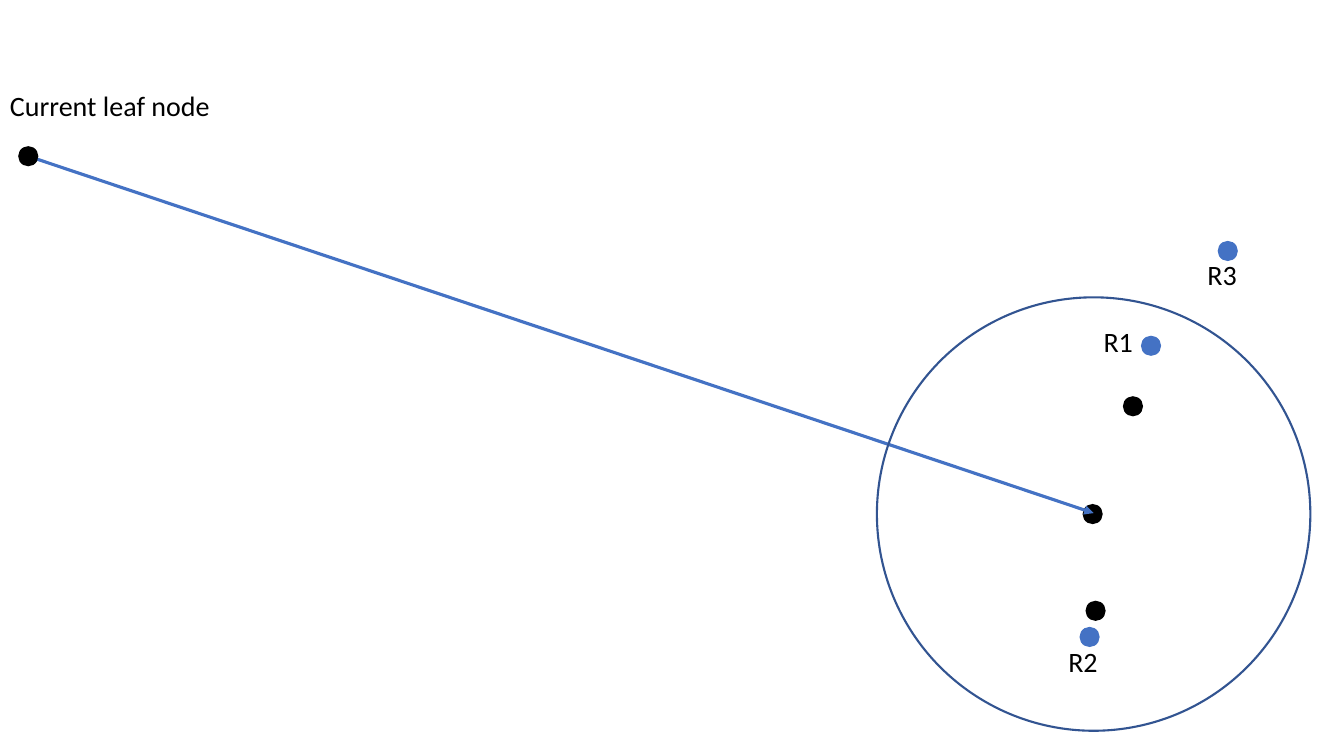
from lxml.etree import SubElement
from pptx import Presentation
from pptx.dml.color import RGBColor
from pptx.enum.shapes import MSO_CONNECTOR, MSO_SHAPE
from pptx.enum.text import MSO_AUTO_SIZE
from pptx.oxml.ns import qn
from pptx.util import Pt

BLACK, BLUE, NAVY = "000000", "4472C4", "325491"
DOT_RADIUS = 7.2
LABEL_HEIGHT = 31.5

# Centres of the dots, in points
GOAL = (780.5, 367.2)
NODES = [(20.2, 111.6), (809.3, 290.2), (782.6, 436.3)]
SAMPLES = [(822.2, 247), (778.3, 455), (877, 179.3)]
SEARCH_CENTRE, SEARCH_RADIUS = (781.2, 367.2), 154.8
EDGE = [(22.3, 112.3), (781.2, 366.5)]

# Text, left, top, width
LABELS = [
    ("Current leaf node", 0, 59.8, 161.5),
    ("R1", 781.2, 228.2, 41),
    ("R2", 756, 456.5, 41),
    ("R3", 855.4, 180.7, 41),
]
LABEL_FONT = {"name": "Calibri", "size": Pt(20)}


def rgb(color):
    return RGBColor.from_string(color)


def add_circle(slide, centre, radius):
    x, y = centre
    sp = slide.shapes.add_shape(
        MSO_SHAPE.OVAL, Pt(x - radius), Pt(y - radius), Pt(2 * radius), Pt(2 * radius))
    sp.shadow.inherit = False
    return sp


def add_dot(slide, centre, color):
    sp = add_circle(slide, centre, DOT_RADIUS)
    sp.fill.solid()
    sp.fill.fore_color.rgb = rgb(color)
    sp.line.fill.background()


def add_search_circle(slide):
    sp = add_circle(slide, SEARCH_CENTRE, SEARCH_RADIUS)
    sp.fill.background()
    sp.line.color.rgb = rgb(NAVY)
    sp.line.width = Pt(1.5)


def add_arrow(slide, start, end):
    ends = [Pt(v) for v in start + end]
    line = slide.shapes.add_connector(MSO_CONNECTOR.STRAIGHT, *ends)
    line.line.color.rgb = rgb(BLUE)
    line.line.width = Pt(2.25)
    props = line._element.spPr
    SubElement(props.find(qn("a:ln")), qn("a:tailEnd"), type="triangle")
    SubElement(props, qn("a:effectLst"))


def add_label(slide, text, left, top, width):
    box = slide.shapes.add_textbox(Pt(left), Pt(top), Pt(width), Pt(LABEL_HEIGHT))
    tf = box.text_frame
    tf.word_wrap = True
    tf.auto_size = MSO_AUTO_SIZE.SHAPE_TO_FIT_TEXT
    r = tf.paragraphs[0].add_run()
    r.text = text
    for name, value in LABEL_FONT.items():
        setattr(r.font, name, value)
    r.font.color.rgb = rgb(BLACK)


def main():
    prs = Presentation()
    prs.slide_width, prs.slide_height = Pt(960), Pt(540)
    slide = prs.slides.add_slide(prs.slide_layouts[6])
    add_dot(slide, GOAL, BLACK)
    add_arrow(slide, *EDGE)
    add_search_circle(slide)
    for centre in NODES:
        add_dot(slide, centre, BLACK)
    for centre in SAMPLES:
        add_dot(slide, centre, BLUE)
    for label in LABELS:
        add_label(slide, *label)
    prs.save("out.pptx")


if __name__ == "__main__":
    main()
